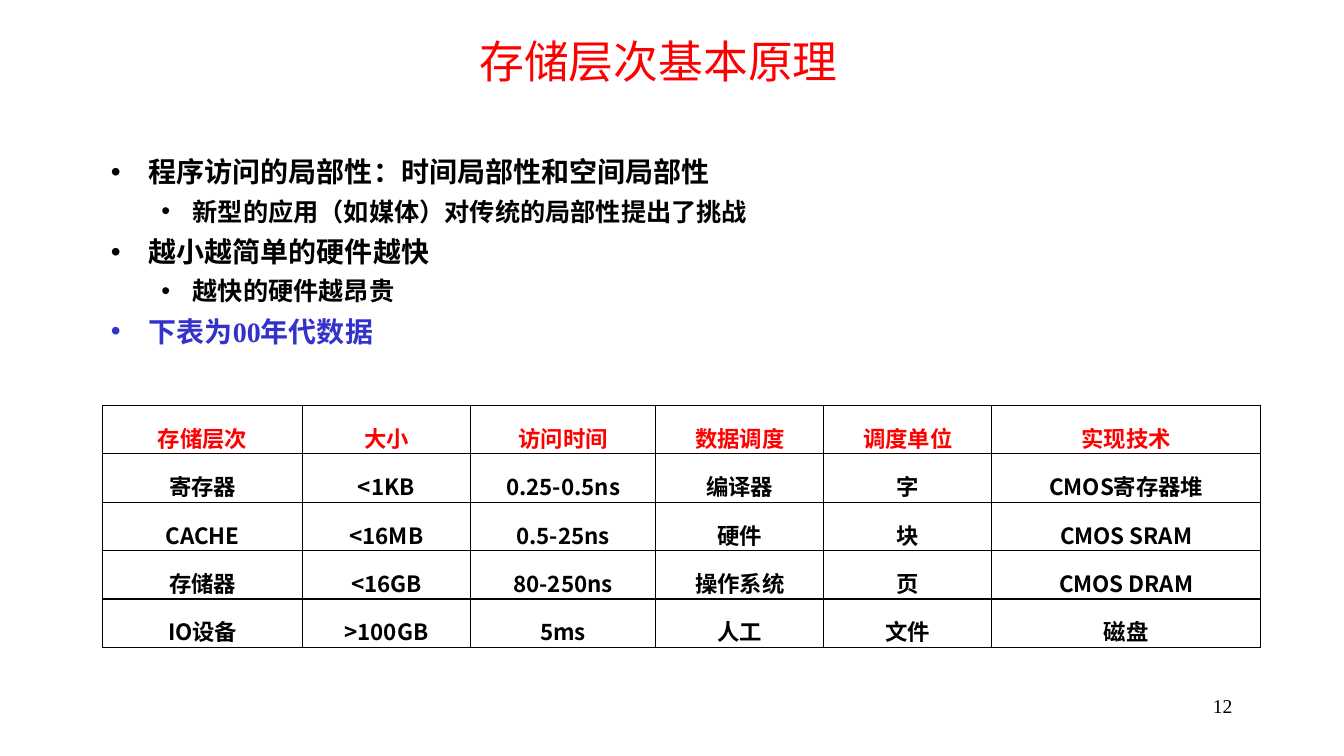
import pptx
import pptx.dml.color
import pptx.enum.text
import pptx.oxml
import pptx.oxml.ns
import pptx.util

Pt = pptx.util.Pt
ALIGN = pptx.enum.text.PP_ALIGN
MIDDLE = pptx.enum.text.MSO_ANCHOR.MIDDLE

RED = pptx.dml.color.RGBColor(0xFF, 0x00, 0x00)
BLACK = pptx.dml.color.RGBColor(0x00, 0x00, 0x00)
BLUE = pptx.dml.color.RGBColor(0x33, 0x33, 0xCC)
BORDER = pptx.dml.color.RGBColor(0x08, 0x00, 0x00)
CJK_FONT = "Noto Sans CJK SC"
SERIF_FONT = "Times New Roman"


def write(paragraph, text, size, font=CJK_FONT, color=BLACK, bold=False,
          align=ALIGN.LEFT, spacing=1.0):
    paragraph.alignment = align
    paragraph.line_spacing = spacing
    paragraph.space_before = Pt(0)
    run = paragraph.add_run()
    run.text = text
    run.font.size = Pt(size)
    run.font.bold = bold
    run.font.color.rgb = color
    run.font.name = font
    east_asian = pptx.oxml.parse_xml(
        f'<a:ea {pptx.oxml.ns.nsdecls("a")} typeface="{CJK_FONT}"/>')
    run.font._element.append(east_asian)


deck = pptx.Presentation()
deck.slide_width, deck.slide_height = Pt(960), Pt(540)
slide = deck.slides.add_slide(deck.slide_layouts[1])

# Title
title = slide.shapes.title
title.left, title.top, title.width, title.height = Pt(62.5), Pt(21), Pt(816), Pt(44)
title.text_frame.vertical_anchor = MIDDLE
write(title.text_frame.paragraphs[0], "存储层次基本原理", 32, font="Arial",
      color=RED, align=ALIGN.CENTER)

# Principles list
principles = slide.placeholders[1]
principles.left, principles.top = Pt(72), Pt(101)
principles.width, principles.height = Pt(824), Pt(189)
principles.text_frame.auto_size = pptx.enum.text.MSO_AUTO_SIZE.NONE
points = [
    (0, "程序访问的局部性：时间局部性和空间局部性", BLACK),
    (1, "新型的应用（如媒体）对传统的局部性提出了挑战", BLACK),
    (0, "越小越简单的硬件越快", BLACK),
    (1, "越快的硬件越昂贵", BLACK),
    (0, "下表为00年代数据", BLUE),
]
level_formats = [(20, 27, 27), (18, 58.5, 22.5)]  # size, indent, hanging
for index, (level, text, color) in enumerate(points):
    frame = principles.text_frame
    point = frame.add_paragraph() if index else frame.paragraphs[0]
    size, indent, hanging = level_formats[level]
    point.level = level
    properties = point._p.get_or_add_pPr()
    properties.set("marL", str(Pt(indent)))
    properties.set("indent", str(-Pt(hanging)))
    properties.append(pptx.oxml.parse_xml(
        f'<a:buChar {pptx.oxml.ns.nsdecls("a")} char="•"/>'))
    write(point, text, size, font=SERIF_FONT, color=color, bold=True, spacing=1.25)

# Storage hierarchy table
levels = [
    ["存储层次", "大小", "访问时间", "数据调度", "调度单位", "实现技术"],
    ["寄存器", "<1KB", "0.25-0.5ns", "编译器", "字", "CMOS寄存器堆"],
    ["CACHE", "<16MB", "0.5-25ns", "硬件", "块", "CMOS SRAM"],
    ["存储器", "<16GB", "80-250ns", "操作系统", "页", "CMOS DRAM"],
    ["IO设备", ">100GB", "5ms", "人工", "文件", "磁盘"],
]
column_widths = [142.5, 120, 132.5, 120, 120, 192]
row_height = 34.6
hierarchy = slide.shapes.add_table(
    len(levels), len(column_widths), Pt(73.5), Pt(289.5),
    Pt(sum(column_widths)), Pt(row_height * len(levels))).table
hierarchy.first_row = False
hierarchy.horz_banding = False
for column, width in zip(hierarchy.columns, column_widths):
    column.width = Pt(width)
for row_index, values in enumerate(levels):
    hierarchy.rows[row_index].height = Pt(row_height)
    for column_index, value in enumerate(values):
        cell = hierarchy.cell(row_index, column_index)
        cell.vertical_anchor = MIDDLE
        cell.margin_top = cell.margin_bottom = Pt(0)
        for side in ("lnL", "lnR", "lnT", "lnB"):
            cell._tc.get_or_add_tcPr().append(pptx.oxml.parse_xml(
                f'<a:{side} {pptx.oxml.ns.nsdecls("a")} w="{Pt(1)}"><a:solidFill>'
                f'<a:srgbClr val="{BORDER}"/></a:solidFill></a:{side}>'))
        cell.fill.background()
        write(cell.text_frame.paragraphs[0], value, 16, bold=True,
              color=BLACK if row_index else RED, align=ALIGN.CENTER, spacing=1.5)

# Page number
page_number = slide.shapes.add_textbox(Pt(687.5), Pt(492), Pt(200), Pt(36))
page_number.text_frame.word_wrap = True
write(page_number.text_frame.paragraphs[0], "12", 14, font=SERIF_FONT,
      align=ALIGN.RIGHT)

deck.save("out.pptx")
